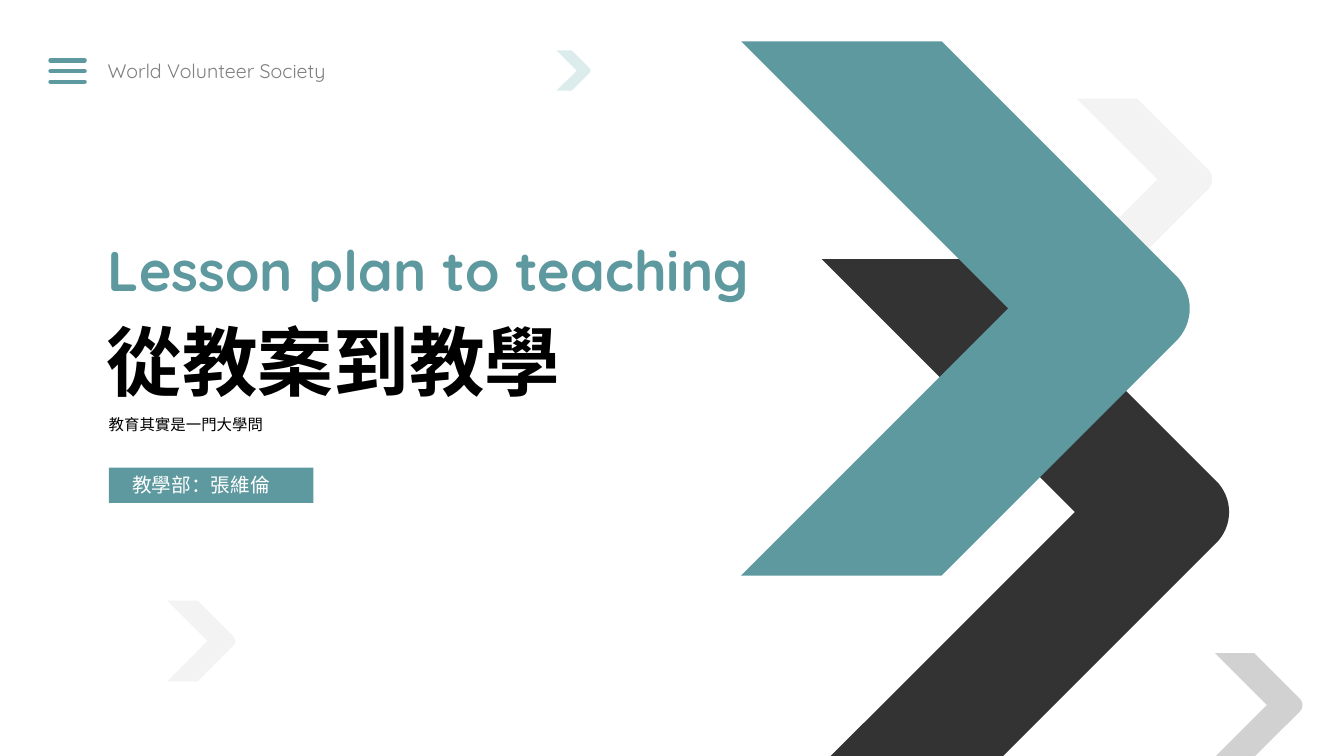
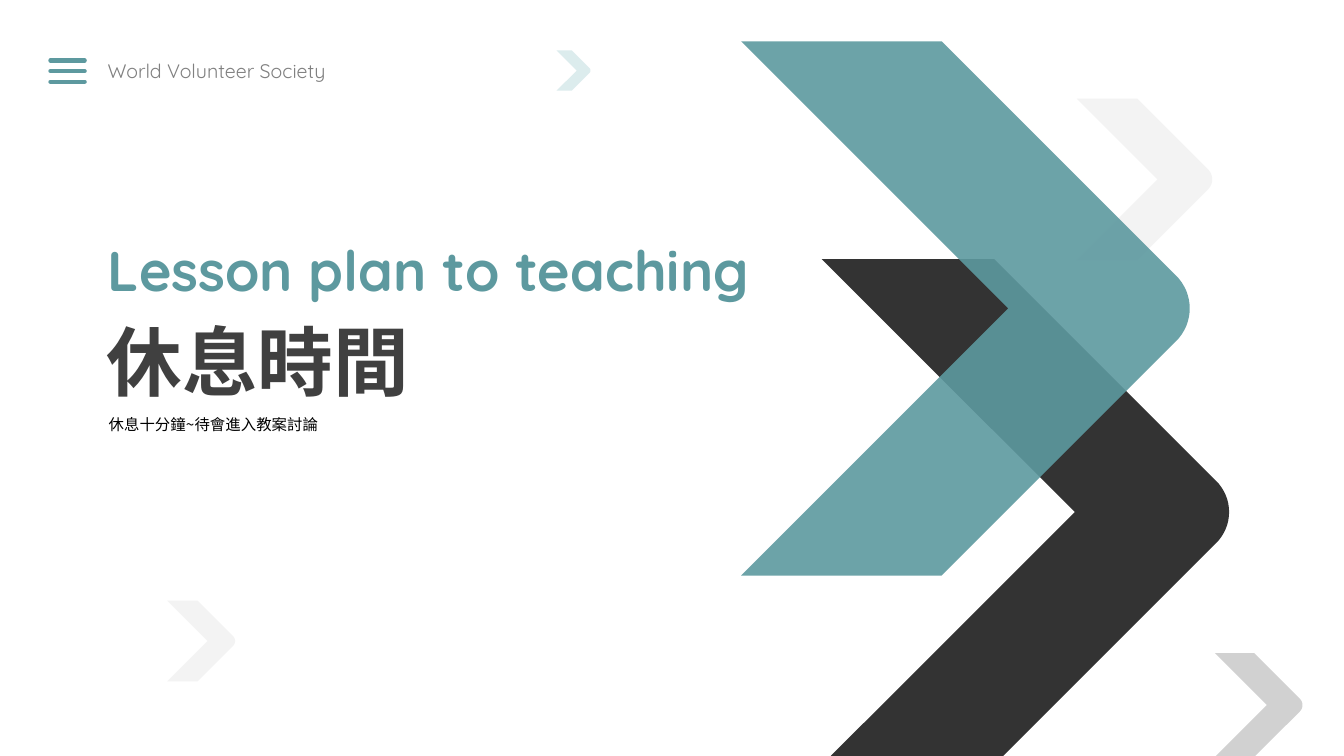
import dataclasses

import pptx
import pptx.dml.color
import pptx.enum.shapes
import pptx.enum.text
import pptx.oxml.ns
import pptx.util
from lxml import etree

Inches = pptx.util.Inches
Pt = pptx.util.Pt
RGB = pptx.dml.color.RGBColor.from_string
qn = pptx.oxml.ns.qn
ALIGN = pptx.enum.text.PP_ALIGN


@dataclasses.dataclass(frozen=True)
class Theme:
    width: float = 13.33
    height: float = 7.5
    # Colours
    teal: str = "5D999F"
    mist: str = "D9EAEC"
    black: str = "000000"
    charcoal: str = "404040"
    grey: str = "808080"
    silver: str = "CCCCCC"
    pale: str = "F2F2F2"
    white: str = "FFFFFF"
    # Fonts and type sizes
    latin: str = "Quicksand"
    cjk: str = "Noto Sans CJK SC"
    title: int = 54
    heading: int = 40
    label: int = 14
    body: int = 11


class Deck:
    def __init__(self, theme):
        self.t = theme
        self.prs = pptx.Presentation()
        self.prs.slide_width = Inches(theme.width)
        self.prs.slide_height = Inches(theme.height)
        self.s = None

    def new_slide(self):
        self.s = self.prs.slides.add_slide(self.prs.slide_layouts[6])
        fill = self.s.background.fill
        fill.solid()
        fill.fore_color.rgb = RGB(self.t.white)

    def paint(self, sp, color, opacity=100):
        sp.shadow.inherit = False
        sp.line.fill.background()
        sp.fill.solid()
        sp.fill.fore_color.rgb = RGB(color)
        if opacity < 100:
            clr = sp._element.spPr.find(".//" + qn("a:srgbClr"))
            etree.SubElement(clr, qn("a:alpha"), val=str(opacity * 1000))

    def chevron(self, x, y, arm, h, color, opacity=90):
        """Draw a right-pointing chevron with a rounded tip, cut at the slide's foot."""
        half, bevel = h / 2, h / 16
        mid = y + half
        foot = min(y + h, self.t.height)
        foot_x = x + y + h - foot
        # Cubic curve around the tip
        x0 = x + arm + half - bevel
        x1 = x0 + 0.57 * bevel
        offsets = (-bevel, -0.45 * bevel, 0.45 * bevel, bevel)
        tip = []
        for i in range(17):
            u = i / 16
            weights = ((1 - u) ** 3, 3 * u * (1 - u) ** 2, 3 * u * u * (1 - u), u ** 3)
            tip.append((sum(w * v for w, v in zip(weights, (x0, x1, x1, x0))),
                        mid + sum(w * v for w, v in zip(weights, offsets))))
        points = [(x + arm, y), *tip, (foot_x + arm, foot), (foot_x, foot), (x + half, mid)]
        fb = self.s.shapes.build_freeform(Inches(x), Inches(y))
        fb.add_line_segments([(Inches(px), Inches(py)) for px, py in points], close=True)
        self.paint(fb.convert_to_shape(), color, opacity)

    def rect(self, x, y, w, h, color):
        kind = pptx.enum.shapes.MSO_SHAPE.RECTANGLE
        sp = self.s.shapes.add_shape(kind, Inches(x), Inches(y), Inches(w), Inches(h))
        self.paint(sp, color)

    def line(self, x1, x2, y, color, weight):
        kind = pptx.enum.shapes.MSO_CONNECTOR.STRAIGHT
        cx = self.s.shapes.add_connector(kind, Inches(x1), Inches(y), Inches(x2), Inches(y))
        cx.line.color.rgb = RGB(color)
        cx.line.width = Pt(weight)
        spPr = cx._element.spPr
        spPr.find(qn("a:ln")).set("cap", "rnd")
        etree.SubElement(spPr, qn("a:effectLst"))

    def text(self, x, y, w, h, words, size, color, font=None, bold=False, align=ALIGN.LEFT):
        sp = self.s.shapes.add_textbox(Inches(x), Inches(y), Inches(w), Inches(h))
        tf = sp.text_frame
        tf.word_wrap = True
        tf.auto_size = pptx.enum.text.MSO_AUTO_SIZE.SHAPE_TO_FIT_TEXT
        p = tf.paragraphs[0]
        p.text = words
        p.alignment = align
        p.font.name = font or self.t.latin
        p.font.size = Pt(size)
        p.font.bold = bold
        p.font.color.rgb = RGB(color)
        # East Asian typeface
        props = p._p.find(".//" + qn("a:defRPr"))
        etree.SubElement(props, qn("a:ea"), typeface=self.t.cjk)

    def cover(self, title, subtitle, title_color, title_font, opacity):
        t = self.t
        self.new_slide()
        # Chevrons
        self.chevron(10.68, 0.98, 0.6, 1.6, t.pale)
        self.chevron(8.15, 2.57, 1.71, 5.02, t.black, 80)
        self.chevron(7.35, 0.41, 1.99, 5.3, t.teal, opacity)
        self.chevron(12.05, 6.48, 0.39, 1.03, t.silver)
        self.chevron(1.66, 5.96, 0.3, 0.8, t.pale)
        self.chevron(5.52, 0.5, 0.15, 0.4, t.mist)
        # Menu mark and society name
        for i in range(3):
            self.line(0.5, 0.84, 0.6 + 0.105 * i, t.teal, 3)
        self.text(0.97, 0.54, 3.86, 0.34, "World Volunteer Society", t.label, t.grey,
                  align=ALIGN.JUSTIFY)
        # Headings
        self.text(0.97, 2.29, 6.65, 0.77, "Lesson plan to teaching", t.heading, t.teal, bold=True)
        self.text(0.96, 3.07, 6.89, 1.01, title, t.title, title_color, title_font, bold=True)
        self.text(0.98, 4.07, 6.63, 0.29, subtitle, t.body, t.black, t.cjk)

    def presenter(self, words):
        self.rect(1.08, 4.64, 2.03, 0.35, self.t.teal)
        self.text(1.13, 4.64, 1.73, 0.34, words, self.t.label, self.t.white, align=ALIGN.CENTER)


def main():
    t = Theme()
    deck = Deck(t)
    # Opening slide
    deck.cover("從教案到教學", "教育其實是一門大學問", t.black, t.cjk, 100)
    deck.presenter("教學部：張維倫")
    # Break slide
    deck.cover("休息時間", "休息十分鐘~待會進入教案討論", t.charcoal, t.latin, 90)
    deck.prs.save("out.pptx")


if __name__ == "__main__":
    main()
